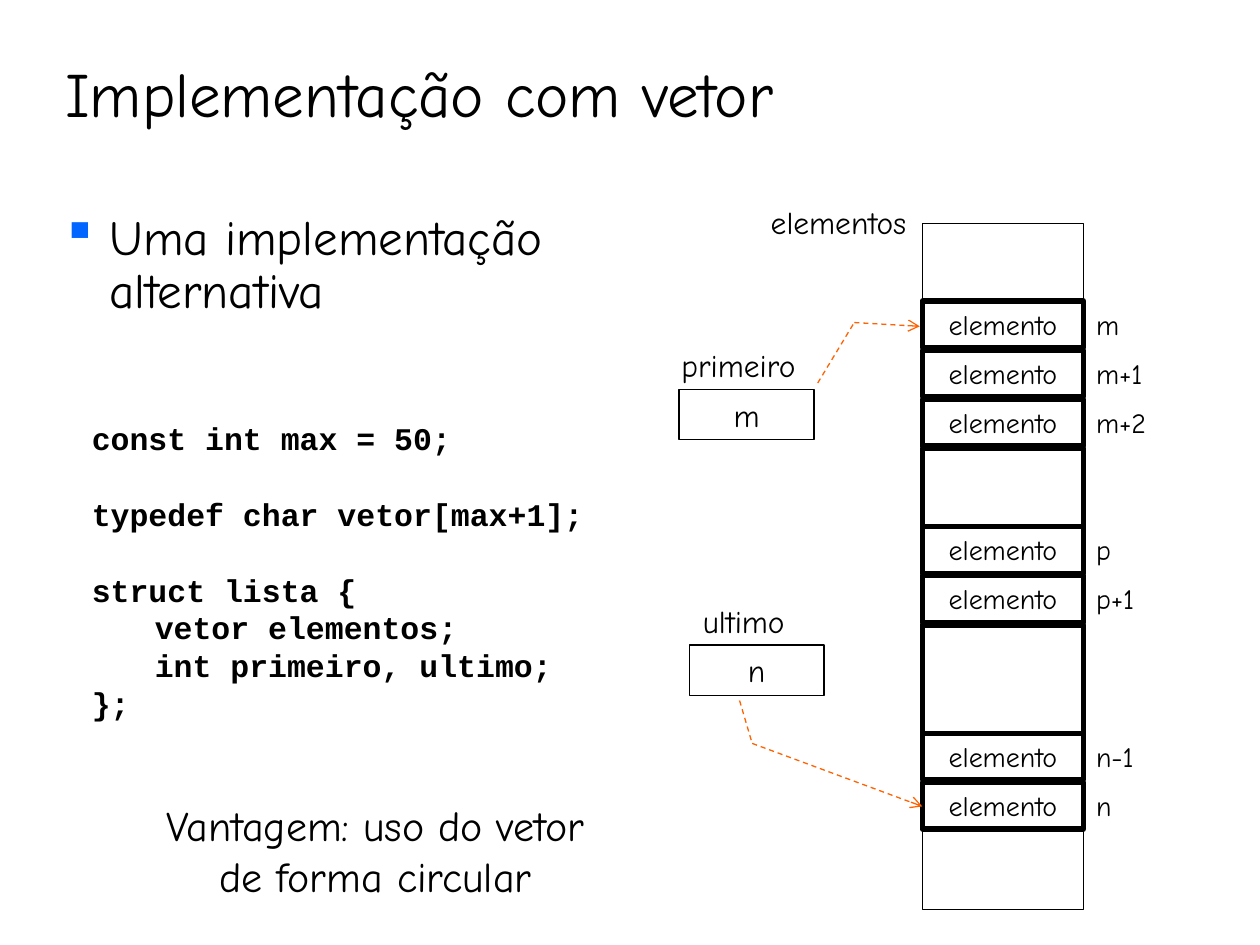
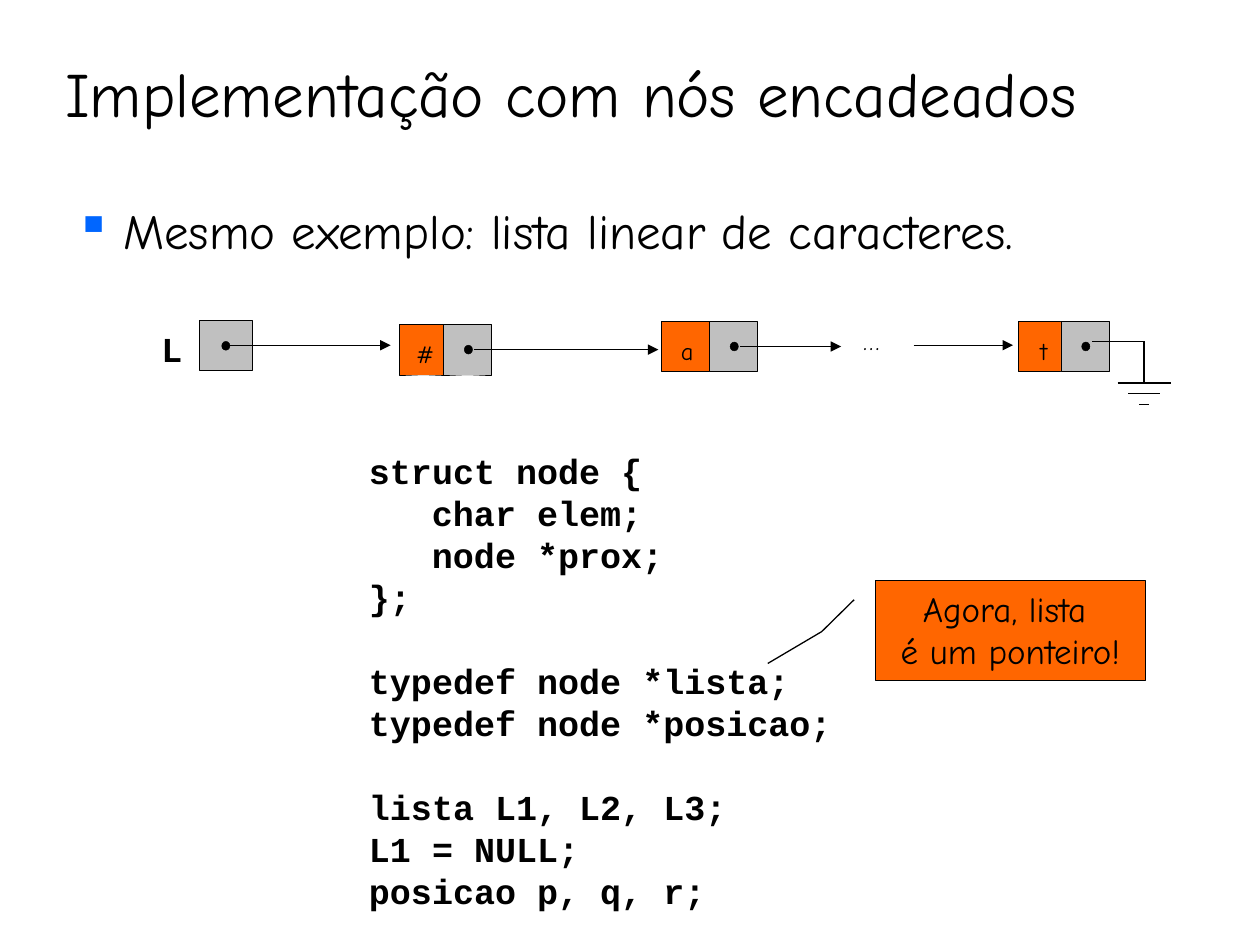
from lxml import etree
from pptx import Presentation
from pptx.dml.color import RGBColor
from pptx.enum.dml import MSO_LINE
from pptx.enum.shapes import MSO_CONNECTOR, MSO_SHAPE
from pptx.enum.text import MSO_ANCHOR, PP_ALIGN
from pptx.oxml.ns import qn
from pptx.util import Inches, Pt

RECT, OVAL = MSO_SHAPE.RECTANGLE, MSO_SHAPE.OVAL
CALLOUT = MSO_SHAPE.LINE_CALLOUT_2
STRAIGHT, DASH = MSO_CONNECTOR.STRAIGHT, MSO_LINE.DASH
LEFT, MID, RIGHT = PP_ALIGN.LEFT, PP_ALIGN.CENTER, PP_ALIGN.RIGHT
TOP, CENTER, BOTTOM = MSO_ANCHOR.TOP, MSO_ANCHOR.MIDDLE, MSO_ANCHOR.BOTTOM
SANS, MONO = "Comic Neue", "Courier New"
BLACK, GRAY, ORANGE, BLUE, ARROW = "000000", "C0C0C0", "FF6600", "0066FF", "FF6200"
WIDE, HIGH = Inches(10), Inches(7.5)
COLS, ROWS = 100, 75
HAIR, THIN, THICK = 0.25, 0.75, 3
PITCH = 1.2


def color(code):
    """Turn a hex string into a colour."""
    return RGBColor.from_string(code)


def grid(x, y):
    """Turn columns and rows of the grid into slide lengths."""
    return round(x * WIDE / COLS), round(y * HIGH / ROWS)


def write(shape, lines, size, font=SANS, bold=False, align=LEFT, anchor=TOP,
          inset=(1, 0.5), wrap=True):
    """Write each line as one paragraph and return the paragraphs."""
    frame = shape.text_frame
    frame.word_wrap, frame.vertical_anchor = wrap, anchor
    frame.margin_left, frame.margin_top = grid(*inset)
    frame.margin_right, frame.margin_bottom = (0, 0) if inset[0] < 1 else grid(*inset)
    paras = []
    for line in lines:
        para = frame.add_paragraph() if paras else frame.paragraphs[0]
        para.alignment = align
        run = para.add_run()
        run.text = line
        run.font.name, run.font.size, run.font.bold = font, Pt(size), bold
        run.font.color.rgb = color(BLACK)
        paras.append(para)
    return paras


def label(slide, box, words, size=18, **style):
    """Place a text box with one line of words."""
    shape = slide.shapes.add_textbox(*grid(*box[:2]), *grid(*box[2:]))
    return write(shape, [words], size, **style)[0]


def block(slide, box, fill=None, line=HAIR, kind=RECT):
    """Place an outlined preset shape."""
    shape = slide.shapes.add_shape(kind, *grid(*box[:2]), *grid(*box[2:]))
    shape.shadow.inherit = False
    if fill:
        shape.fill.solid()
        shape.fill.fore_color.rgb = color(fill)
    else:
        shape.fill.background()
    shape.line.color.rgb = color(BLACK)
    shape.line.width = Pt(line)
    return shape


def route(slide, points, tint=BLACK, width=THIN, head=None, dash=None):
    """Join the points with lines, with an optional head on the last."""
    for start, end in zip(points, points[1:]):
        link = slide.shapes.add_connector(STRAIGHT, *grid(*start), *grid(*end))
        link.line.color.rgb = color(tint)
        link.line.width = Pt(width)
        if dash:
            link.line.dash_style = dash
        props = link._element.spPr
        if head and end == points[-1]:
            tail = etree.SubElement(props.find(qn("a:ln")), qn("a:tailEnd"))
            tail.set("type", head)
        etree.SubElement(props, qn("a:effectLst"))


def title(slide, words):
    """Place the slide title."""
    label(slide, (4.2, 2.5, 90.8, 8.3), words, 36, anchor=BOTTOM)


def bullet(slide, box, words, space=None):
    """Place a paragraph with a square blue bullet."""
    para = label(slide, box, words, 28)
    props = para._p.get_or_add_pPr()
    props.set("marL", str(Inches(0.38)))
    props.set("indent", str(Inches(-0.38)))
    tint = etree.SubElement(props, qn("a:buClr"))
    etree.SubElement(tint, qn("a:srgbClr")).set("val", BLUE)
    etree.SubElement(props, qn("a:buChar")).set("char", "▪")
    if space:
        para.line_spacing = space


def code(slide, box, parts, size):
    """Place code, with one line of space between its parts."""
    shape = slide.shapes.add_textbox(*grid(*box[:2]), *grid(*box[2:]))
    paras = write(shape, [line for part in parts for line in part], size, MONO, True)
    step = Pt(size * PITCH)
    for para in paras:
        para.line_spacing = step
    first = 0
    for part in parts[:-1]:
        first += len(part)
        paras[first].space_before = step


def memory(slide, x, y, wide):
    """Stack the cells of the array, with an index beside each used cell."""
    high, step, gap = 3.7, 3.9, 6.2
    stack = [(gap, HAIR), "m", "m+1", "m+2", (gap, THICK), "p", "p+1",
             (8.6, THICK), "n-1", "n", (gap, HAIR)]
    label(slide, (x - 15.9, y - 2.1, 15.6, 4), "elementos", align=RIGHT)
    for item in stack:
        if isinstance(item, str):
            cell = block(slide, (x, y, wide, high), line=THICK)
            write(cell, ["elemento"], 16, align=MID)
            label(slide, (x + wide, y, 7.1, high), item, 16)
            y += step
        else:
            block(slide, (x, y, wide, item[0]), line=item[1])
            y += item[0]


def pointer(slide, x, y, name, value, shift, bends):
    """Place a named index box and its dashed arrow."""
    label(slide, (x + shift, y - 3.9, 13.3, 4), name)
    write(block(slide, (x, y, 10.7, 4), line=THIN), [value], 18, align=MID)
    route(slide, [(x + dx, y + dy) for dx, dy in bends], ARROW, head="arrow", dash=DASH)


def dot(slide, x, y):
    """Place the dot where a link starts."""
    block(slide, (x, y, 0.65, 0.7), BLACK, kind=OVAL)


def node(slide, x, y, char, split, reach):
    """Place a list node, and its arrow if it reaches another."""
    cell = block(slide, (x, y, 3.8, 4), ORANGE)
    write(cell, [char], 14, align=MID, anchor=CENTER, inset=(0.3, 0.7))
    block(slide, (x + split, y, 3.8, 4), GRAY)
    spot = x + split + 1.65
    dot(slide, spot, y + 1.65)
    if reach:
        route(slide, [(spot + 0.8, y + 2), (spot + reach, y + 2)], width=HAIR, head="triangle")


def ground(slide, x, y):
    """Place the end of the list, with bars that shrink."""
    route(slide, [(x - 4.1, y), (x, y), (x, y + 3.3)])
    for row, half in enumerate((2.1, 1.25, 0.4)):
        level = y + 3.3 + row * 0.85
        route(slide, [(x - half, level), (x + half, level)])


def chain(slide, x, y):
    """Place the linked list from its head to the ground."""
    label(slide, (x, y, 6.7, 4.4), "L", 20, font=MONO, bold=True, align=MID)
    block(slide, (x + 5.5, y - 0.1, 4.2, 4), GRAY)
    dot(slide, x + 7.3, y + 1.6)
    route(slide, [(x + 7.6, y + 1.9), (x + 20.7, y + 1.9)], width=HAIR, head="triangle")
    for place, drop, char, split, reach in [(21.4, 0.25, "#", 3.5, 15.4),
                                            (42.2, 0, "a", 3.8, 8.8),
                                            (70.5, 0, "t", 3.4, 0)]:
        node(slide, x + place, y + drop, char, split, reach)
    dots = label(slide, (x + 57.2, y + 0.5, 3.3, 2.7), "…", 14, align=MID, wrap=False)
    dots.line_spacing = 0.72
    route(slide, [(x + 62.2, y + 1.9), (x + 70.1, y + 1.9)], width=HAIR, head="triangle")
    ground(slide, x + 80.5, y + 1.6)


def callout(slide, box, lines):
    """Place an orange remark with a bent leader."""
    shape = block(slide, box, ORANGE, THIN, CALLOUT)
    for spot, value in enumerate((0.19, -0.08, 0.51, -0.2, 0.83, -0.4)):
        shape.adjustments[spot] = value
    write(shape, lines, 20, align=MID, wrap=False)


def vector(slide):
    """Build the slide on the array."""
    title(slide, "Implementação com vetor")
    memory(slide, 73.2, 17.7, 12.8)
    pointer(slide, 53.9, 30.9, "primeiro", "m", -0.8,
            [(11, -0.5), (13.9, -5.3), (19.1, -5)])
    pointer(slide, 54.7, 51.2, "ultimo", "n", 0.1,
            [(4, 4.4), (5, 7.8), (18.5, 12.8)])
    code(slide, (6.3, 32.8, 44.2, 31),
         [["const int max = 50;"],
          ["typedef char vetor[max+1];"],
          ["struct lista {", "\tvetor elementos;", "\tint primeiro, ultimo;", "};"]], 18)
    bullet(slide, (3.9, 16.4, 43, 9.4), "Uma implementação alternativa", 0.9)
    label(slide, (10.1, 63, 39.4, 9), "Vantagem: uso do vetor de forma circular", 24, align=MID)


def linked(slide):
    """Build the slide on linked nodes."""
    title(slide, "Implementação com nós encadeados")
    bullet(slide, (5, 15.4, 91.7, 7.1), "Mesmo exemplo: lista linear de caracteres.")
    chain(slide, 10.3, 25.5)
    code(slide, (28.3, 35.2, 42.5, 37.7),
         [["struct node {", "\tchar elem;", "\tnode *prox;", "};"],
          ["typedef node *lista;", "typedef node *posicao;"],
          ["lista L1, L2, L3;", "L1 = NULL;", "posicao p, q, r;"]], 20)
    callout(slide, (69.5, 46.1, 21.4, 7.9), ["Agora, lista ", "é um ponteiro!"])


def main():
    """Build both slides and save them."""
    deck = Presentation()
    deck.slide_width, deck.slide_height = WIDE, HIGH
    for build in (vector, linked):
        build(deck.slides.add_slide(deck.slide_layouts[6]))
    deck.save("out.pptx")


if __name__ == "__main__":
    main()
